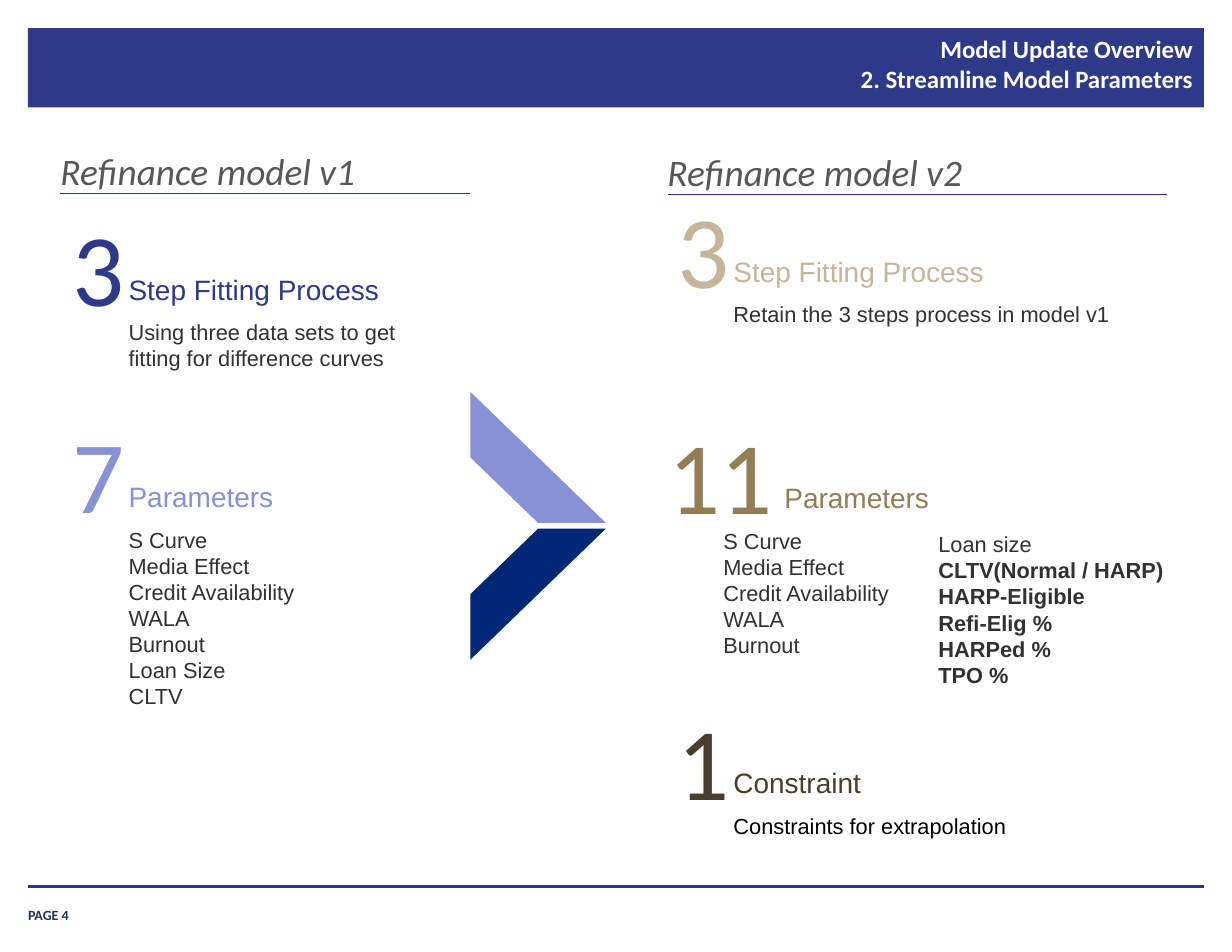
from lxml.etree import SubElement
from pptx import Presentation
from pptx.dml.color import RGBColor
from pptx.enum.shapes import MSO_CONNECTOR, MSO_SHAPE
from pptx.enum.text import MSO_ANCHOR, MSO_AUTO_SIZE, PP_ALIGN
from pptx.oxml.ns import qn
from pptx.util import Inches, Pt

# The 11 x 8.5 inch slide is a grid of 44 columns by 34 rows
COLS, ROWS, CELL = 44, 34, Inches(0.25)
HEAD, BODY = "Calibri", "Arial"
COLORS = {
    "band": "2E398A", "rule": "2B3689", "page": "203353", "white": "FFFFFF",
    "gray": "575757", "text": "313131", "black": "000000", "navy": "002776",
    "lilac": "8891D5", "sand": "C4B59B", "tan": "937D57", "umber": "493E2B",
}


def rgb(name):
    return RGBColor.from_string(COLORS[name])


def grid(*cells):
    return [round(c * CELL) for c in cells]


def add_run(p, text, size, color, font=BODY, bold=False, italic=False):
    r = p.add_run()
    r.text = text
    f = r.font
    f.name, f.size, f.bold, f.italic = font, Pt(size), bold, italic
    f.color.rgb = rgb(color)


def add_text(slide, box, lines, size, color, font=BODY, inset=True, align=PP_ALIGN.LEFT,
             bold_from=None, anchor=MSO_ANCHOR.TOP, **style):
    """Text box with one paragraph a line; lines from bold_from on are bold."""
    tf = slide.shapes.add_textbox(*grid(*box)).text_frame
    tf.word_wrap = True
    tf.auto_size = MSO_AUTO_SIZE.NONE
    tf.vertical_anchor = anchor
    if not inset:
        tf.margin_left = tf.margin_right = tf.margin_top = tf.margin_bottom = 0
    for i, line in enumerate(lines):
        p = tf.paragraphs[0] if i == 0 else tf.add_paragraph()
        p.alignment = align
        if bold_from is not None:
            style["bold"] = i >= bold_from
        add_run(p, line, size, color, font, **style)


def add_block(slide, kind, box, color):
    sp = slide.shapes.add_shape(kind, *grid(*box))
    sp.shadow.inherit = False
    sp.fill.solid()
    sp.fill.fore_color.rgb = rgb(color)
    sp.line.fill.background()
    return sp


def add_rule(slide, x, y, w, weight):
    line = slide.shapes.add_connector(MSO_CONNECTOR.STRAIGHT, *grid(x, y, x + w, y))
    line.line.color.rgb = rgb("rule")
    line.line.width = Pt(weight)
    SubElement(line._element.spPr, qn("a:effectLst"))


def add_header(slide, box, lines):
    add_block(slide, MSO_SHAPE.RECTANGLE, box, "band")
    x, y, w, h = box
    title = slide.shapes.title
    title.left, title.top, title.width, title.height = grid(x + w - 29.72, y - 0.04, 29.76, h + 0.12)
    slide.shapes._spTree.append(title._element)  # bring in front of the band
    tf = title.text_frame
    tf.word_wrap = True
    tf.auto_size = MSO_AUTO_SIZE.NONE
    tf.vertical_anchor = MSO_ANCHOR.TOP
    tf.margin_left = tf.margin_right = Inches(0.11)
    tf.margin_top = tf.margin_bottom = Inches(0.06)
    p = tf.paragraphs[0]
    p.alignment = PP_ALIGN.RIGHT
    for i, line in enumerate(lines):
        if i:
            p.add_line_break()
        add_run(p, line, 16, "white", HEAD, bold=True)


def add_footer(slide, box, text):
    x, y, w, h = box
    add_rule(slide, x, y, w, 2)
    add_text(slide, (x, y + 0.4, 3.64, h), [text], 9, "page", HEAD, inset=False,
             anchor=MSO_ANCHOR.BOTTOM, bold=True)


def add_model_heading(slide, box, text):
    x, y, w, h = box
    add_text(slide, (x, y, 22.24, h), [text], 24, "gray", HEAD, inset=False, italic=True)
    add_rule(slide, x, y + h + 0.04, w, 0.75)


def add_stat(slide, box, number, label, lines, color, digits_w=1.6, body_x=None, body_color="text"):
    """Large number, its label to the right and details below the label."""
    x, y, w, h = box
    label_x = x + digits_w
    body_x = label_x if body_x is None else body_x
    add_text(slide, (x, y, digits_w, 4.44), [number], 66, color, HEAD, inset=False,
             align=PP_ALIGN.CENTER)
    add_text(slide, (label_x, y + 2.24, w, 1.6), [label], 18, color)
    add_text(slide, (body_x, y + 3.92, w, h - 3.92), lines, 14, body_color)


def add_chevron(slide, box, gap=0.2):
    x, y, w, h = box
    half = (h - gap) / 2
    add_block(slide, MSO_SHAPE.DIAGONAL_STRIPE, (x, y + half + gap, w, half), "navy")
    upper = add_block(slide, MSO_SHAPE.DIAGONAL_STRIPE, (x, y, w, half), "lilac")
    upper._element.spPr.get_or_add_xfrm().set("flipV", "1")


def main():
    prs = Presentation()
    prs.slide_width, prs.slide_height = grid(COLS, ROWS)
    slide = prs.slides.add_slide(prs.slide_layouts[5])

    # Frame
    add_header(slide, (1, 1, COLS - 2, 2.84),
               ["Model Update Overview", "2. Streamline Model Parameters"])
    add_footer(slide, (1, 31.66, COLS - 2, 0.92), "PAGE 4")

    # Left: version 1
    shared = ["S Curve", "Media Effect", "Credit Availability", "WALA", "Burnout"]
    add_model_heading(slide, (2.16, 5.28, 14.64, 1.6), "Refinance model v1")
    add_stat(slide, (2.6, 7.28, 11.84, 6.2), "3", "Step Fitting Process",
             ["Using three data sets to get fitting for difference curves"], "band")
    add_stat(slide, (2.6, 14.68, 11.84, 10.92), "7", "Parameters",
             shared + ["Loan Size", "CLTV"], "lilac")

    # Middle: arrow from version 1 to version 2
    add_chevron(slide, (16.8, 14, 4.84, 9.56))

    # Right: version 2
    add_model_heading(slide, (23.84, 5.32, 17.84, 1.6), "Refinance model v2")
    add_stat(slide, (24.2, 6.64, 15.88, 5.28), "3", "Step Fitting Process",
             ["Retain the 3 steps process in model v1"], "sand")
    add_stat(slide, (23.84, 14.72, 11.84, 9.04), "11", "Parameters", shared, "tan",
             digits_w=3.78, body_x=25.44)
    add_text(slide, (33.12, 18.76, 11.84, 6.04),
             ["Loan size", "CLTV(Normal / HARP)", "HARP-Eligible", "Refi-Elig %",
              "HARPed %", "TPO %"], 14, "text", bold_from=1)
    add_stat(slide, (24.2, 24.92, 11.84, 5.28), "1", "Constraint",
             ["Constraints for extrapolation"], "umber", body_color="black")

    prs.save("out.pptx")


if __name__ == "__main__":
    main()
